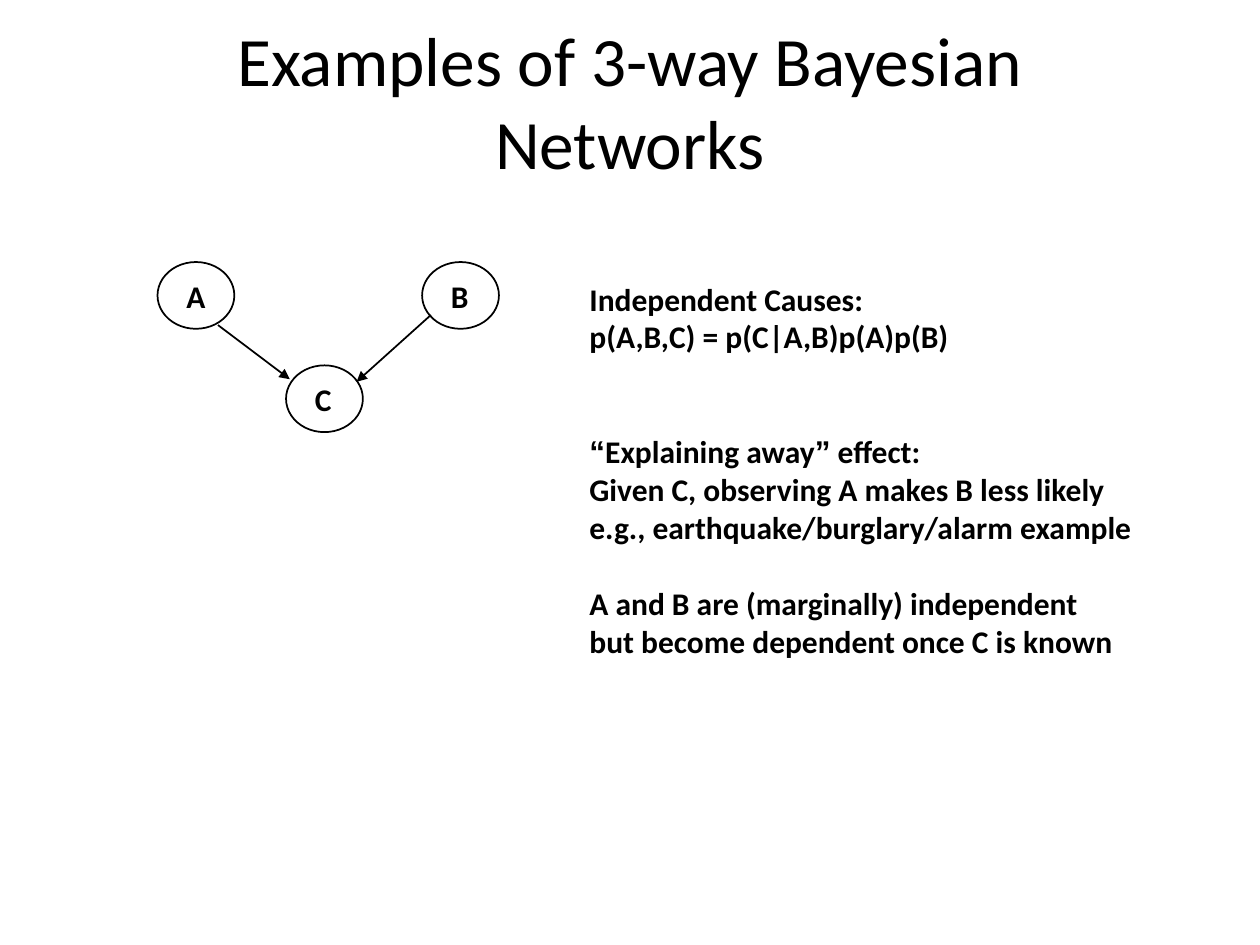
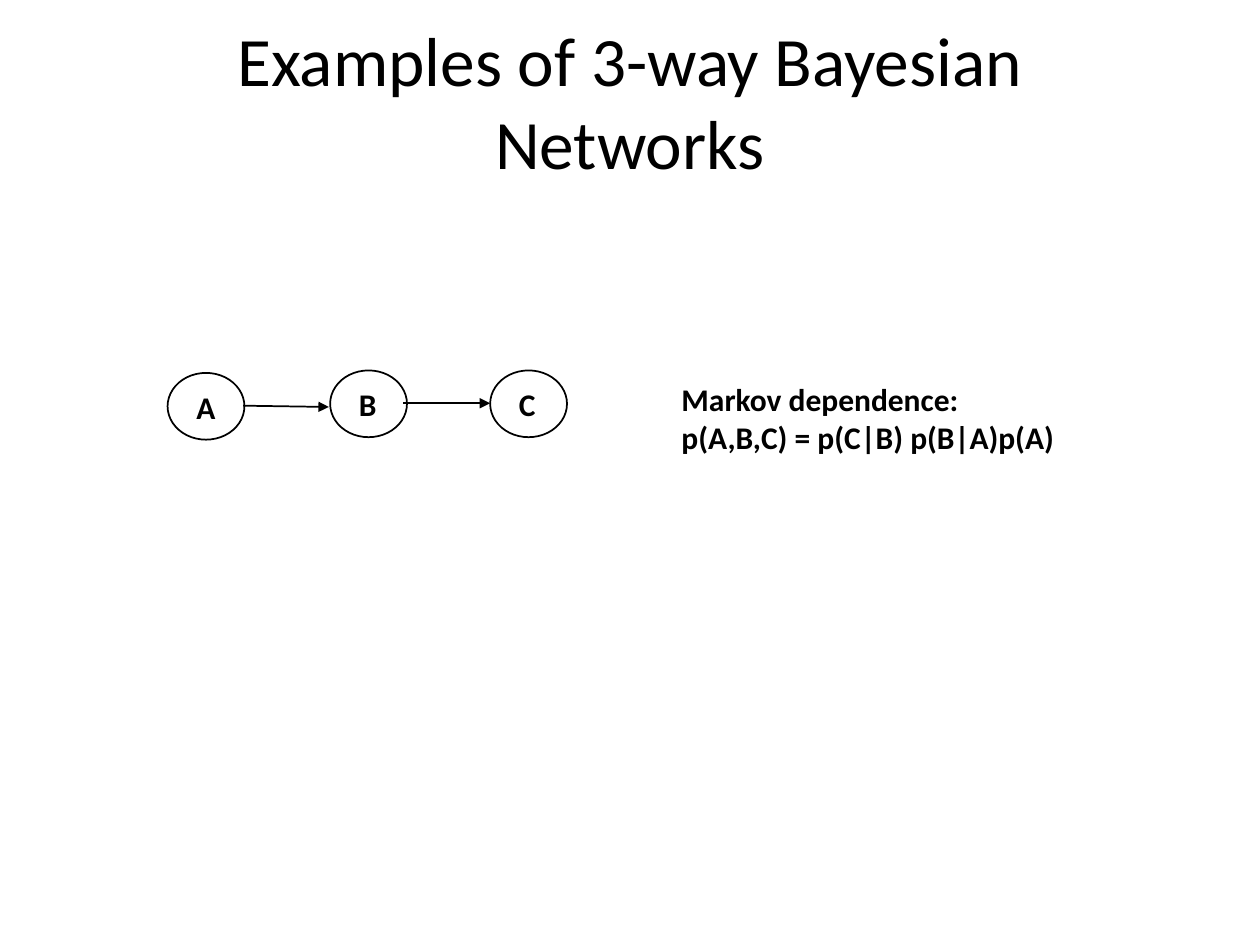
import itertools

import pptx
import pptx.dml.color
import pptx.enum.shapes
import pptx.enum.text
import pptx.util
from lxml import etree
from pptx.oxml.ns import qn

Inches, Pt = pptx.util.Inches, pptx.util.Pt
ALIGN = pptx.enum.text.PP_ALIGN
ANCHOR = pptx.enum.text.MSO_ANCHOR

# Shared style
COLORS = {"ink": "000000", "paper": "FFFFFF"}
FONT, QUOTE = "Calibri", "Arial"
TITLE = "Examples of 3-way Bayesian Networks"
HEAD = (0.75, 0.17, 8.5, 1.25)
NODE = (0.61, 0.53)
LABEL = (0.13, 0.07, 0.38, 0.4)  # left and top are offsets from the node
LINE = 22  # height of one text line, in points


def color(name):
    return pptx.dml.color.RGBColor.from_string(COLORS[name])


def write(frame, lines, size=18, bold=True, align=ALIGN.LEFT, anchor=ANCHOR.TOP):
    """Fill a frame with (text, blank lines before) pairs; curly quotes use their own font."""
    frame.word_wrap = True
    frame.auto_size = pptx.enum.text.MSO_AUTO_SIZE.NONE
    frame.vertical_anchor = anchor
    for i, (text, gap) in enumerate(lines):
        para = frame.add_paragraph() if i else frame.paragraphs[0]
        para.alignment = align
        para.space_before = Pt(gap * LINE)
        for quoted, chars in itertools.groupby(text, lambda ch: ch in "“”"):
            run = para.add_run()
            run.text = "".join(chars)
            run.font.name = QUOTE if quoted else FONT
            run.font.size = Pt(size)
            run.font.bold = bold
            run.font.color.rgb = color("ink")


def head(slide, box):
    title = slide.shapes.title
    title.left, title.top, title.width, title.height = map(Inches, box)
    write(title.text_frame, [(TITLE, 0)], size=39.6, bold=False,
          align=ALIGN.CENTER, anchor=ANCHOR.MIDDLE)


def notes(slide, box, lines):
    area = slide.shapes.add_textbox(*map(Inches, box))
    write(area.text_frame, lines)


def arrow(shapes, ends):
    link = shapes.add_connector(pptx.enum.shapes.MSO_CONNECTOR.STRAIGHT,
                                *map(Inches, ends))
    link.line.color.rgb = color("ink")
    link.line.width = Pt(1)
    etree.SubElement(link.line._get_or_add_ln(), qn("a:tailEnd"), type="triangle")
    etree.SubElement(link._element.spPr, qn("a:effectLst"))


def node(shapes, name, left, top):
    dx, dy, wide, high = LABEL
    label = shapes.add_textbox(*map(Inches, (left + dx, top + dy, wide, high)))
    write(label.text_frame, [(name, 0)])
    ring = shapes.add_shape(pptx.enum.shapes.MSO_SHAPE.OVAL,
                            *map(Inches, (left, top, *NODE)))
    ring.shadow.inherit = False
    ring.fill.background()
    ring.line.color.rgb = color("ink")
    ring.line.width = Pt(1)


def graph(slide, origin, nodes, links):
    """Draw a network; nodes and links are measured from the origin."""
    x, y = origin
    shapes = slide.shapes.add_group_shape().shapes
    for x1, y1, x2, y2 in links:
        arrow(shapes, (x + x1, y + y1, x + x2, y + y2))
    for name, (dx, dy) in nodes.items():
        node(shapes, name, x + dx, y + dy)


def start(deck):
    slide = deck.slides.add_slide(deck.slide_layouts[5])
    slide.background.fill.solid()
    slide.background.fill.fore_color.rgb = color("paper")
    head(slide, HEAD)
    return slide


deck = pptx.Presentation()
deck.slide_width, deck.slide_height = Inches(10), Inches(7.5)

# Independent causes: A and B both point to C
slide = start(deck)
graph(slide, (1.25, 2.08),
      {"A": (0, 0), "B": (2.1, 0), "C": (1.02, 0.82)},
      [(0.48, 0.5, 1.05, 0.93), (2.17, 0.42, 1.58, 0.95)])
notes(slide, (4.58, 2.17, 5.07, 3.4), [
    ("Independent Causes:", 0),
    ("p(A,B,C) = p(C|A,B)p(A)p(B)", 0),
    ("“Explaining away” effect:", 2),
    ("Given C, observing A makes B less likely", 0),
    ("e.g., earthquake/burglary/alarm example", 0),
    ("A and B are (marginally) independent", 1),
    ("but become dependent once C is known", 0),
])

# Markov dependence: a chain from A through B to C
slide = start(deck)
graph(slide, (1.33, 2.94),
      {"A": (0, 0.02), "B": (1.29, 0), "C": (2.56, 0)},
      [(0.6, 0.28, 1.28, 0.29), (1.87, 0.26, 2.56, 0.26)])
notes(slide, (5.31, 2.97, 3.55, 0.7), [
    ("Markov dependence:", 0),
    ("p(A,B,C) = p(C|B) p(B|A)p(A)", 0),
])

deck.save("out.pptx")
